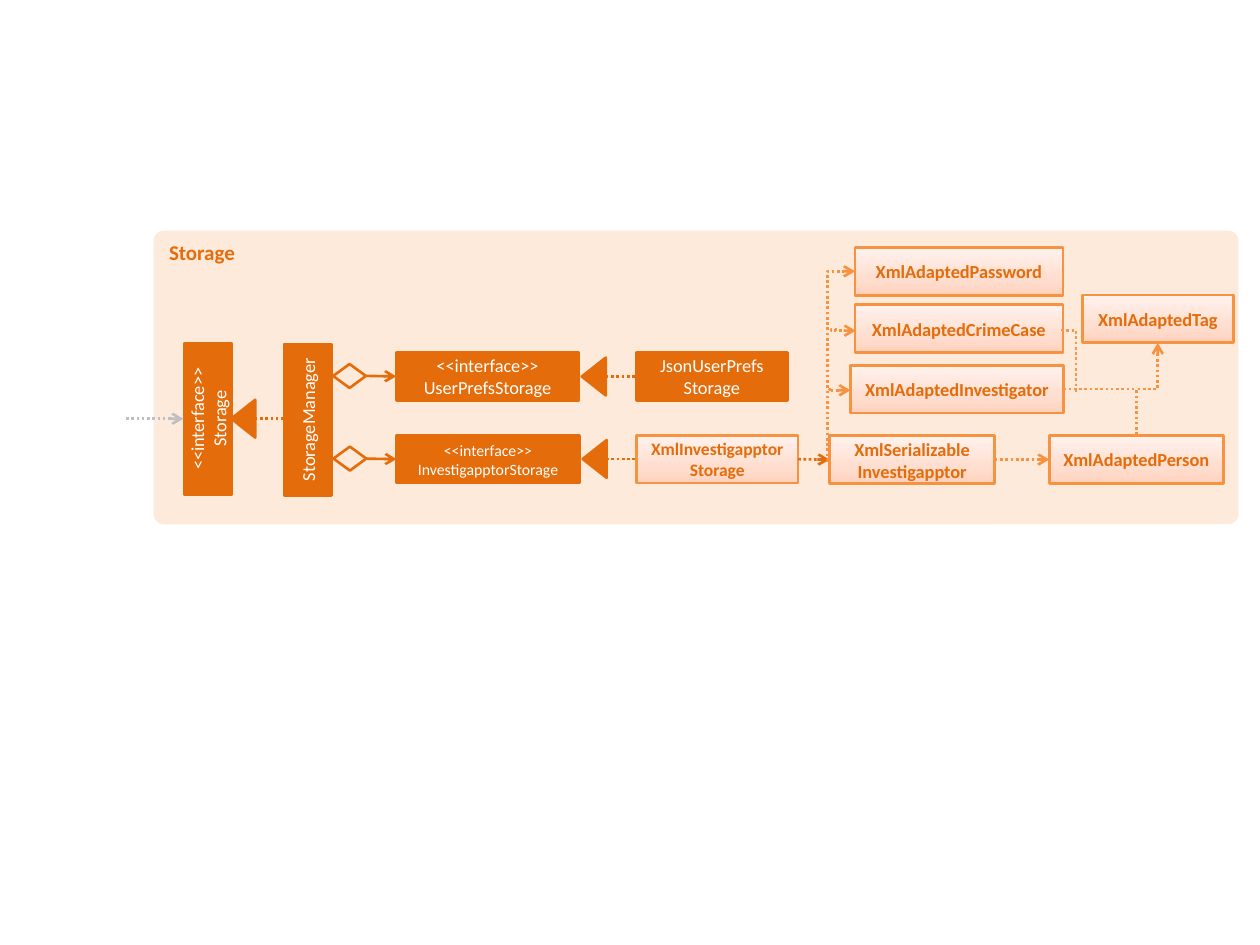
from lxml.etree import SubElement
from copy import deepcopy
from pptx import Presentation
from pptx.dml.color import RGBColor
from pptx.enum.dml import MSO_LINE
from pptx.enum.shapes import MSO_CONNECTOR, MSO_SHAPE
from pptx.enum.text import MSO_ANCHOR, PP_ALIGN
from pptx.oxml.ns import qn
from pptx.util import Pt

ORANGE, LIGHT_ORANGE, ACCENT = "E46C0A", "F69240", "F79646"
WHITE, GRAY, PANEL = "FFFFFF", "BFBFBF", "FDEADA"
GRADIENT = [("FFD2BD", 0), ("FFDED0", 0.35), ("FFF2ED", 1)]
BOX_HEIGHT = 27.4

presentation = Presentation()
presentation.slide_width, presentation.slide_height = Pt(720), Pt(540)
slide = presentation.slides.add_slide(presentation.slide_layouts[6])


def color(hex_string):
    return RGBColor.from_string(hex_string)


def add_node(kind, left, top, width, height, fill=None, line=None,
             text="", size=10.5, font_color=WHITE, bold=False, rotation=0):
    shape = slide.shapes.add_shape(kind, Pt(left), Pt(top), Pt(width), Pt(height))
    shape.shadow.inherit = False
    shape.rotation = rotation
    if fill:
        shape.fill.solid()
        shape.fill.fore_color.rgb = color(fill)
    else:
        shape.fill.background()
    if line:
        shape.line.color.rgb = color(line)
        shape.line.width = Pt(1.5)
    else:
        shape.line.fill.background()
    if text:
        shape.text_frame.text = text
        shape.text_frame.word_wrap = False
        shape.text_frame.vertical_anchor = MSO_ANCHOR.MIDDLE
        for paragraph in shape.text_frame.paragraphs:
            paragraph.alignment = PP_ALIGN.CENTER
            for run in paragraph.runs:
                run.font.name = "Calibri"
                run.font.size = Pt(size)
                run.font.bold = bold
                run.font.color.rgb = color(font_color)
    return shape


# Storage panel
panel = add_node(MSO_SHAPE.ROUNDED_RECTANGLE, 87.8, 131.8, 619.9, 167.8, PANEL,
                 text="Storage", size=12, font_color=ORANGE, bold=True)
panel.adjustments[0] = 0.035
panel.text_frame.vertical_anchor = MSO_ANCHOR.TOP
panel.text_frame.paragraphs[0].alignment = PP_ALIGN.LEFT

# Solid boxes: text, left, top, width, font size, rotation
solid_boxes = [
    ("<<interface>>\nStorage", 75.6, 225.6, 86.4, 10.5, 270),
    ("StorageManager", 132.7, 226.1, 86.4, 10.5, 270),
    ("<<interface>>\vUserPrefsStorage", 226.4, 201.4, 104.4, 10.5, 0),
    ("<<interface>>\vInvestigapptorStorage", 226.6, 248.7, 104.4, 9, 0),
    ("JsonUserPrefs\vStorage", 363.6, 201.4, 86.4, 10.5, 0),
]
for text, left, top, width, size, rotation in solid_boxes:
    add_node(MSO_SHAPE.RECTANGLE, left, top, width, BOX_HEIGHT, ORANGE, ORANGE,
             text, size, rotation=rotation)

# Gradient boxes: text, left, top, width, font size
gradient_boxes = [
    ("XmlInvestigapptor\vStorage", 363.6, 248.7, 92.5, 10),
    ("XmlSerializable\vInvestigapptor", 474, 249, 94.5, 10.5),
    ("XmlAdaptedPassword", 488.5, 141.3, 119, 10.5),
    ("XmlAdaptedCrimeCase", 488.5, 174.1, 119, 10.5),
    ("XmlAdaptedInvestigator", 486, 208.7, 121.7, 10.5),
    ("XmlAdaptedTag", 618.5, 168.5, 86.4, 10.5),
    ("XmlAdaptedPerson", 599.6, 248.9, 99.4, 10.5),
]
for text, left, top, width, size in gradient_boxes:
    box = add_node(MSO_SHAPE.RECTANGLE, left, top, width, BOX_HEIGHT, WHITE,
                   LIGHT_ORANGE, text, size, ORANGE, True)
    box.fill.gradient()
    box.fill.gradient_angle = 90
    stop_list = box._element.spPr.find(qn("a:gradFill")).find(qn("a:gsLst"))
    stop_list.insert(1, deepcopy(stop_list[0]))
    for stop, (stop_color, position) in zip(box.fill.gradient_stops, GRADIENT):
        stop.color.rgb = color(stop_color)
        stop.position = position

# Inheritance triangles and aggregation diamonds
for left, top in [(128.2, 232.4), (328.5, 208.3), (329, 255.4)]:
    add_node(MSO_SHAPE.ISOSCELES_TRIANGLE, left, top, 21.6, 13.7, ORANGE, ORANGE,
             rotation=270)
for left, top in [(190.4, 208), (190.6, 255.2)]:
    add_node(MSO_SHAPE.FLOWCHART_DECISION, left, top, 18.7, 13.7, line=ORANGE)

# Connectors: begin x and y, end x and y, color, dotted, arrow,
# then for elbows (preset, adjustment, rotation) before rotation is applied
connectors = [
    (209, 214.8, 226.4, 215.1, ORANGE, False, True, None),
    (209.3, 262.1, 226.6, 262.4, ORANGE, False, True, None),
    (72, 239.3, 104.8, 239.3, GRAY, True, True, None),
    (145.6, 239.3, 162.4, 239.3, ORANGE, True, False, None),
    (346.2, 215.1, 363.6, 215.1, ORANGE, True, False, None),
    (346.4, 262.4, 363.6, 262.4, ORANGE, True, False, None),
    (456.1, 262.4, 474, 262.7, ORANGE, True, True, None),
    (568.5, 262.6, 599.6, 262.6, LIGHT_ORANGE, True, True, None),
    (607.7, 222.4, 649.4, 222.4, ACCENT, True, False, None),
    (681.8, 228.4, 629.2, 216.2, LIGHT_ORANGE, True, True,
     ("bentConnector3", 0.5, 90)),
    (535, 217.3, 426.3, 201.5, LIGHT_ORANGE, True, True,
     ("bentConnector2", None, 90)),
    (629.3, 202.5, 592.6, 210.4, ACCENT, True, False,
     ("bentConnector3", 0.02, 270)),
    (475, 222.4, 486, 223, LIGHT_ORANGE, True, True,
     ("bentConnector3", -0.12, 0)),
    (478.5, 188.2, 489, 189, LIGHT_ORANGE, True, True,
     ("bentConnector3", -0.35, 0)),
]
for begin_x, begin_y, end_x, end_y, line_color, dotted, arrow, elbow in connectors:
    kind = MSO_CONNECTOR.ELBOW if elbow else MSO_CONNECTOR.STRAIGHT
    connector = slide.shapes.add_connector(
        kind, Pt(begin_x), Pt(begin_y), Pt(end_x), Pt(end_y))
    connector.line.color.rgb = color(line_color)
    connector.line.width = Pt(1.5)
    if dotted:
        connector.line.dash_style = MSO_LINE.ROUND_DOT
    properties = connector._element.spPr
    if arrow:
        SubElement(properties.find(qn("a:ln")), qn("a:tailEnd"), type="arrow")
    SubElement(properties, qn("a:effectLst"))
    if elbow:
        preset, adjustment, rotation = elbow
        properties.find(qn("a:xfrm")).set("rot", str(rotation * 60000))
        geometry = properties.find(qn("a:prstGeom"))
        geometry.set("prst", preset)
        if adjustment is not None:
            SubElement(geometry.find(qn("a:avLst")), qn("a:gd"), name="adj1",
                       fmla=f"val {round(adjustment * 100000)}")

presentation.save("out.pptx")
